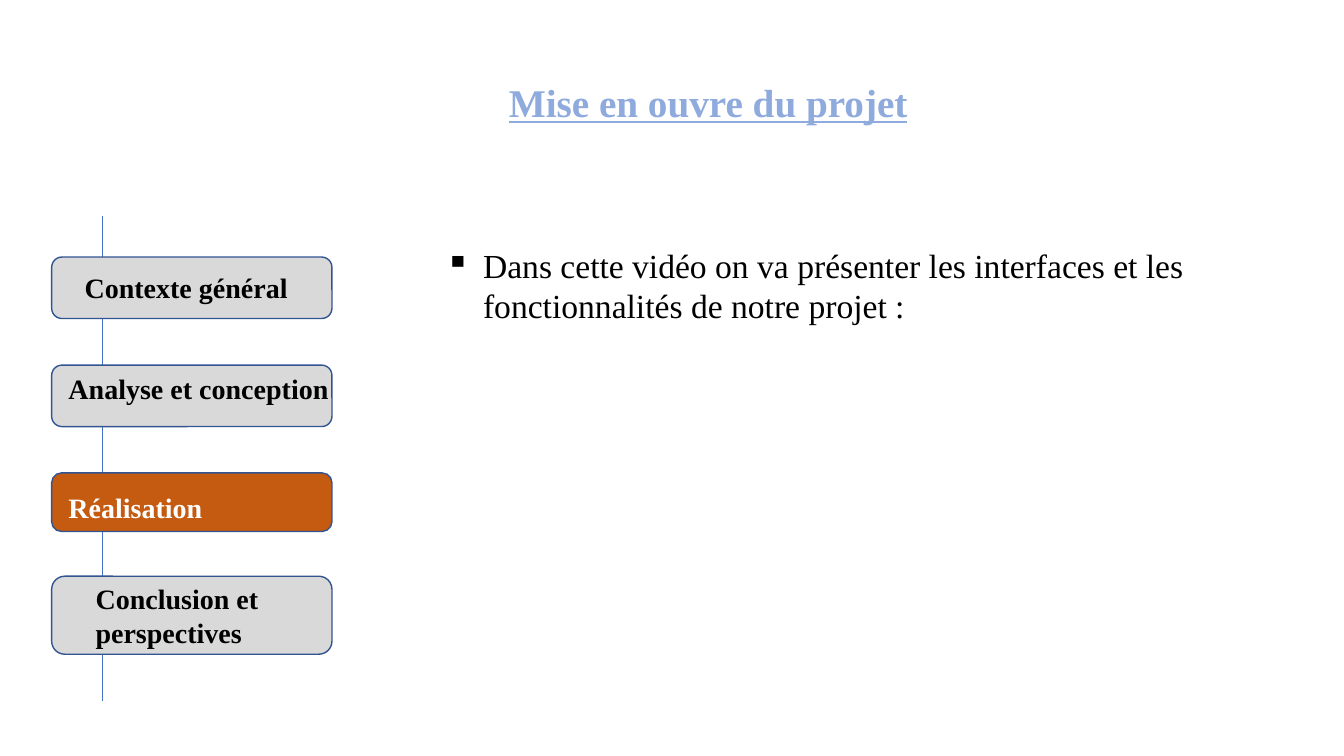
"""Build the project implementation slide with its progress sidebar."""
from lxml import etree
from pptx import Presentation
from pptx.dml.color import RGBColor
from pptx.enum import shapes, text
from pptx.oxml import ns
from pptx.util import Pt

FONT = "Times New Roman"
BLACK = RGBColor(0x00, 0x00, 0x00)
WHITE = RGBColor(0xFF, 0xFF, 0xFF)
GREY = RGBColor(0xD9, 0xD9, 0xD9)
ORANGE = RGBColor(0xC5, 0x5A, 0x11)
NAVY = RGBColor(0x32, 0x54, 0x91)
BLUE = RGBColor(0x44, 0x72, 0xC4)
PALE_BLUE = RGBColor(0x8F, 0xAA, 0xDC)

STEP_LEFT, STEP_WIDTH = 36.9, 200.2
STEPS = [
    ("Contexte général", (183.6, 43.9), (53.3, 189.4, 167, 31.7), GREY, BLACK),
    ("Analyse et conception", (260.8, 43.9), (41.8, 262.1, 201, 53.3), GREY, BLACK),
    ("Réalisation", (337.8, 41.8), (41.8, 347, 162.7, 31.7), ORANGE, WHITE),
    ("Conclusion et perspectives", (411.6, 55.7), (61.2, 411.8, 151.2, 55.4), GREY, BLACK),
]


def add_timeline(slide, x, top, bottom):
    """Draw the vertical line behind the steps."""
    timeline = slide.shapes.add_connector(
        shapes.MSO_CONNECTOR.STRAIGHT, Pt(x), Pt(top), Pt(x), Pt(bottom))
    timeline.line.color.rgb = BLUE
    timeline.line.width = Pt(0.5)
    etree.SubElement(timeline._element.spPr, ns.qn("a:effectLst"))


def add_text(slide, box, wording, size, color, bold=True, underline=None):
    """Add a wrapped text box and return its paragraph."""
    frame = slide.shapes.add_textbox(*map(Pt, box)).text_frame
    frame.word_wrap = True
    paragraph = frame.paragraphs[0]
    run = paragraph.add_run()
    run.text = wording
    run.font.name = FONT
    run.font.size = Pt(size)
    run.font.bold = bold
    run.font.underline = underline
    run.font.color.rgb = color
    return paragraph


def add_bullet(paragraph, indent):
    """Give a paragraph a square bullet and a hanging indent."""
    properties = paragraph._p.get_or_add_pPr()
    properties.set("marL", str(Pt(indent)))
    properties.set("indent", str(-Pt(indent)))
    etree.SubElement(properties, ns.qn("a:buChar"), char="▪")


def add_step(slide, wording, span, label_box, fill, color):
    """Draw a rounded sidebar step and its label."""
    top, height = span
    step = slide.shapes.add_shape(
        shapes.MSO_SHAPE.ROUNDED_RECTANGLE,
        Pt(STEP_LEFT), Pt(top), Pt(STEP_WIDTH), Pt(height))
    step.shadow.inherit = False
    step.fill.solid()
    step.fill.fore_color.rgb = fill
    step.line.color.rgb = NAVY
    step.line.width = Pt(1)
    add_text(slide, label_box, wording, 20, color)


def main():
    """Compose and save the slide."""
    deck = Presentation()
    deck.slide_width, deck.slide_height = Pt(960), Pt(540)
    slide = deck.slides.add_slide(deck.slide_layouts[6])
    add_timeline(slide, 73, 154, 501)
    for step in STEPS:
        add_step(slide, *step)
    title = add_text(slide, (356.4, 52.6, 435.6, 63.4), "Mise en ouvre du projet",
                     28, PALE_BLUE, underline=True)
    title.alignment = text.PP_ALIGN.LEFT
    intro = add_text(
        slide, (311, 171.4, 561.6, 65.5),
        "Dans cette vidéo on va présenter les interfaces et les "
        "fonctionnalités de notre projet :", 24, BLACK, bold=False)
    add_bullet(intro, 27)
    deck.save("out.pptx")


if __name__ == "__main__":
    main()
